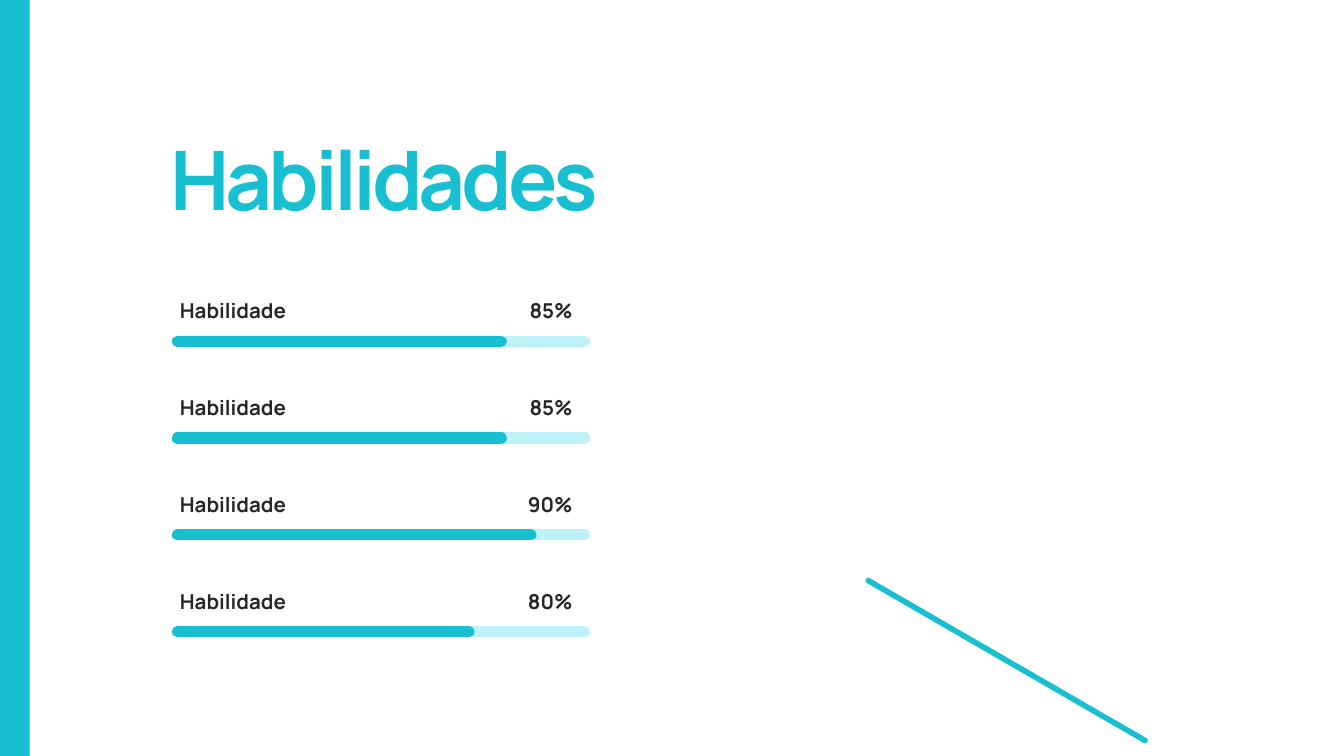
from lxml import etree
from pptx import Presentation
from pptx.dml.color import RGBColor
from pptx.enum import shapes, text
from pptx.oxml import ns
from pptx.util import Pt

COLORS = {"accent": "18BFD1", "track": "BEF2F8", "ink": "262626"}
FONT = "Manrope"
SKILLS = [
    ("Habilidade", "85%", 173.5),
    ("Habilidade", "85%", 173.5),
    ("Habilidade", "90%", 189.4),
    ("Habilidade", "80%", 156.2),
]
SKILL_PITCH = 51.84


def color(name):
    return RGBColor.from_string(COLORS[name])


def add_text(page, words, left, top, width, height, *, size, fill,
             align=text.PP_ALIGN.LEFT, line_spacing=1.0, tracking=None):
    box = page.shapes.add_textbox(Pt(left), Pt(top), Pt(width), Pt(height))
    frame = box.text_frame
    frame.word_wrap = True
    frame.auto_size = text.MSO_AUTO_SIZE.SHAPE_TO_FIT_TEXT
    para = frame.paragraphs[0]
    para.alignment = align
    para.line_spacing = line_spacing
    span = para.add_run()
    span.text = words
    span.font.name = FONT
    span.font.size = Pt(size)
    span.font.bold = True
    span.font.color.rgb = color(fill)
    if tracking is not None:
        span.font._element.set("spc", str(round(tracking * 100)))


def add_round_line(page, start, end, fill, weight):
    line = page.shapes.add_connector(
        shapes.MSO_CONNECTOR.STRAIGHT,
        Pt(start[0]), Pt(start[1]), Pt(end[0]), Pt(end[1]))
    line.line.color.rgb = color(fill)
    line.line.width = Pt(weight)
    line.line._get_or_add_ln().set("cap", "rnd")
    etree.SubElement(line._element.spPr, ns.qn("a:effectLst"))


def add_side_band(page, left, top, width, height):
    band = page.shapes.add_shape(
        shapes.MSO_SHAPE.RECTANGLE, Pt(left), Pt(top), Pt(width), Pt(height))
    band.shadow.inherit = False
    band.fill.solid()
    band.fill.fore_color.rgb = color("accent")
    band.line.fill.background()


def add_skill(page, left, top, width, skill, percent, progress):
    label_width, label_height = 125.3, 25.9
    label_format = {"size": 11, "fill": "ink", "line_spacing": 1.5}
    add_text(page, skill, left, top, label_width, label_height, **label_format)
    add_text(page, percent, left + width - label_width, top, label_width,
             label_height, align=text.PP_ALIGN.RIGHT, **label_format)
    bar_left, bar_top = left + 5.76, top + 33.12
    bar_right = left + width - 0.7
    for bar_end, fill in ((bar_right, "track"), (bar_left + progress, "accent")):
        add_round_line(page, (bar_left, bar_top), (bar_end, bar_top), fill, 6)


def add_skills(page, left, top, width):
    for index, skill in enumerate(SKILLS):
        add_skill(page, left, top + index * SKILL_PITCH, width, *skill)


def main():
    deck = Presentation()
    deck.slide_width, deck.slide_height = Pt(720), Pt(405)
    page = deck.slides.add_slide(deck.slide_layouts[6])
    add_skills(page, 89.28, 149.76, 224.64)
    add_side_band(page, 0, 0, 15.84, 405)
    add_text(page, "Habilidades", 84.24, 65.52, 278.64, 60.48,
             size=44, fill="accent", tracking=-2.2)
    add_round_line(page, (613.44, 396.72), (465.12, 311.04), "accent", 3)
    deck.save("out.pptx")


if __name__ == "__main__":
    main()
